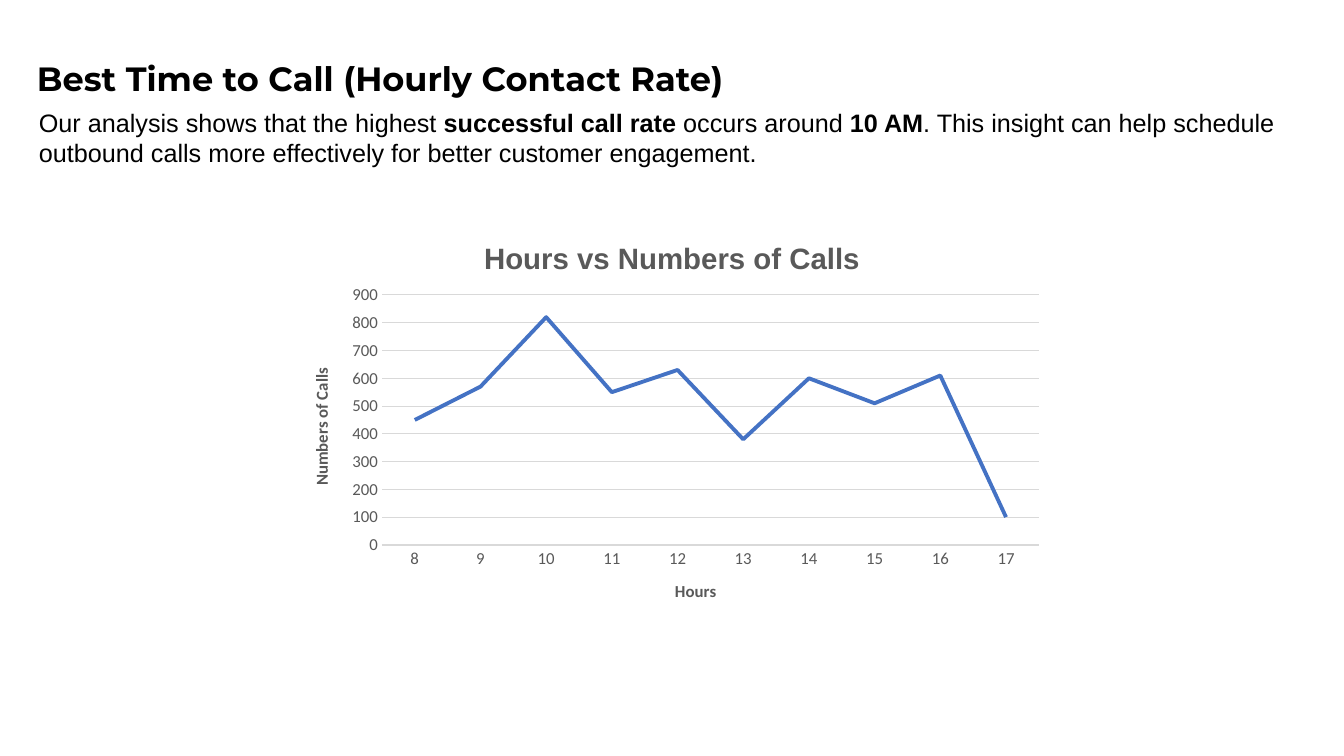
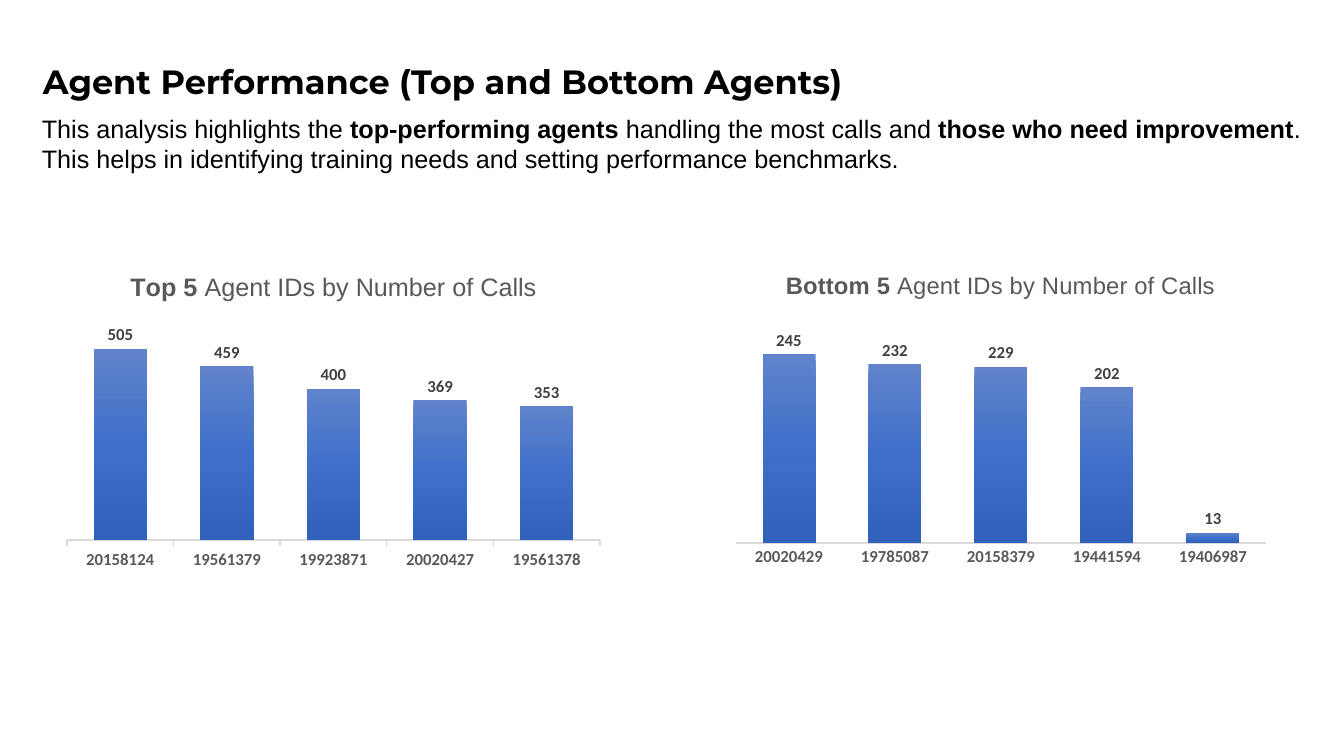
import pptx
import pptx.util
import pptx.chart.data
import pptx.dml.color
import pptx.enum.chart
import pptx.enum.text
import pptx.oxml
import pptx.oxml.ns

PX = 914400 / 100.8
COLORS = {"ink": "000000", "muted": "595959", "label": "404040", "grid": "D9D9D9", "line": "4472C4",
          "bar_top": "6183CB", "bar_mid": "3E70CA", "bar_end": "3062BB"}
TITLE = {"size": pptx.util.Pt(24), "name": "Montserrat", "bold": True}
BODY = {"size": pptx.util.Pt(18), "name": "Arial"}
AXIS = {"size": pptx.util.Pt(12), "name": "Calibri"}
XL = pptx.enum.chart
C_NS = pptx.oxml.ns.nsdecls("c")
A_NS = pptx.oxml.ns.nsdecls("a")


def set_font(font, color, formats):
    for attribute, value in formats.items():
        setattr(font, attribute, value)
    font.color.rgb = pptx.dml.color.RGBColor.from_string(COLORS[color])


def write_runs(paragraph, runs, color, formats):
    """Write (text, bold) pairs in one shared style."""
    for text, bold in runs:
        run = paragraph.add_run()
        run.text = text
        set_font(run.font, color, {**formats, "bold": bold})


deck = pptx.Presentation()
deck.slide_width, deck.slide_height = round(1344 * PX), round(756 * PX)

# Content: boxes are left, top, width, height; the plot is the area inside the axes
pages = [
    {
        "texts": [
            ((27, 53, 800, 50), TITLE, [("Best Time to Call (Hourly Contact Rate)", True)]),
            ((29, 102, 1257, 72), BODY, [
                ("Our analysis shows that the highest ", False), ("successful call rate", True),
                (" occurs around ", False), ("10 AM", True),
                (". This insight can help schedule outbound calls more effectively "
                 "for better customer engagement.", False)]),
        ],
        "charts": [
            {"kind": XL.XL_CHART_TYPE.LINE, "box": (289, 221, 766, 402), "plot": (382, 295, 657, 250),
             "heading": [("Hours vs Numbers of Calls", True)], "heading_size": 21,
             "categories": [str(hour) for hour in range(8, 18)],
             "values": [450, 570, 820, 550, 630, 380, 600, 510, 610, 100],
             "maximum": 900, "step": 100, "tick": XL.XL_TICK_MARK.NONE},
        ],
    },
    {
        "texts": [
            ((33, 56, 912, 50), TITLE, [("Agent Performance (Top and Bottom Agents)", True)]),
            ((32, 108, 1280, 72), BODY, [
                ("This analysis highlights the ", False), ("top-performing agents", True),
                (" handling the most calls and ", False), ("those who need improvement", True),
                (". This helps in identifying training needs and setting performance benchmarks.", False)]),
        ],
        "charts": [
            {"kind": XL.XL_CHART_TYPE.COLUMN_CLUSTERED, "box": (56, 257, 555, 320), "plot": (67, 313, 533, 227),
             "heading": [("Top 5 ", True), ("Agent IDs by Number of Calls", False)], "heading_size": 18,
             "categories": ["20158124", "19561379", "19923871", "20020427", "19561378"],
             "values": [505, 459, 400, 369, 353],
             "maximum": 600, "step": 100, "tick": XL.XL_TICK_MARK.OUTSIDE},
            {"kind": XL.XL_CHART_TYPE.COLUMN_CLUSTERED, "box": (725, 256, 551, 318), "plot": (736, 312, 530, 231),
             "heading": [("Bottom 5 ", True), ("Agent IDs by Number of Calls", False)], "heading_size": 17,
             "categories": ["20020429", "19785087", "20158379", "19441594", "19406987"],
             "values": [245, 232, 229, 202, 13],
             "maximum": 300, "step": 50, "tick": XL.XL_TICK_MARK.NONE},
        ],
    },
]

for page in pages:
    slide = deck.slides.add_slide(deck.slide_layouts[6])

    # Charts
    for spec_sheet in page["charts"]:
        data = pptx.chart.data.CategoryChartData()
        data.categories = spec_sheet["categories"]
        data.add_series("Series 1", spec_sheet["values"])
        box = spec_sheet["box"]
        chart = slide.shapes.add_chart(spec_sheet["kind"], *[round(v * PX) for v in box], data).chart
        chart.has_legend = False
        set_font(chart.font, "muted", AXIS)

        # Heading
        chart.has_title = True
        heading_font = {"size": pptx.util.Pt(spec_sheet["heading_size"]), "name": "Arial"}
        write_runs(chart.chart_title.text_frame.paragraphs[0], spec_sheet["heading"], "muted", heading_font)
        chart.chart_title.include_in_layout = False

        # Plot area as fractions of the chart box
        left, top, width, height = spec_sheet["plot"]
        fractions = {"x": (left - box[0]) / box[2], "y": (top - box[1]) / box[3],
                     "w": width / box[2], "h": height / box[3]}
        layout = (f'<c:layout {C_NS}><c:manualLayout><c:layoutTarget val="inner"/>'
                  '<c:xMode val="edge"/><c:yMode val="edge"/>'
                  + "".join(f'<c:{key} val="{value:.4f}"/>' for key, value in fractions.items())
                  + "</c:manualLayout></c:layout>")
        plot_area = chart._chartSpace.chart.plotArea
        for old_layout in plot_area.xpath("c:layout"):
            plot_area.remove(old_layout)
        plot_area.insert(0, pptx.oxml.parse_xml(layout))

        # Axes
        hours, calls = chart.category_axis, chart.value_axis
        hours.major_tick_mark = spec_sheet["tick"]
        hours.format.line.color.rgb = pptx.dml.color.RGBColor.from_string(COLORS["grid"])
        hours.format.line.width = pptx.util.Pt(1)
        for attribute, value in {"minimum_scale": 0, "maximum_scale": spec_sheet["maximum"],
                                 "major_unit": spec_sheet["step"],
                                 "major_tick_mark": XL.XL_TICK_MARK.NONE}.items():
            setattr(calls, attribute, value)

        plot = chart.plots[0]
        plot.vary_by_categories = False
        series = plot.series[0]
        if spec_sheet["kind"] == XL.XL_CHART_TYPE.LINE:
            series.smooth = False
            series.marker.style = XL.XL_MARKER_STYLE.NONE
            calls.format.line.fill.background()
            for line, color, weight in [(series.format.line, "line", 2.75),
                                        (calls.major_gridlines.format.line, "grid", 0.75)]:
                line.color.rgb = pptx.dml.color.RGBColor.from_string(COLORS[color])
                line.width = pptx.util.Pt(weight)
            for axis, caption in [(hours, "Hours"), (calls, "Numbers of Calls")]:
                set_font(axis.tick_labels.font, "muted", AXIS)
                frame = axis.axis_title.text_frame
                write_runs(frame.paragraphs[0], [(caption, True)], "muted", AXIS)
            frame._txBody.bodyPr.set("rot", "-5400000")
            frame._txBody.bodyPr.set("vert", "horz")
        else:
            calls.visible = False
            calls.has_major_gridlines = False
            plot.gap_width, plot.overlap = 100, -24
            set_font(hours.tick_labels.font, "muted", {**AXIS, "bold": True})
            # Vertical gradient of the bars
            stops = "".join(f'<a:gs pos="{position}"><a:srgbClr val="{COLORS[color]}"/></a:gs>'
                            for position, color in [(0, "bar_top"), (50000, "bar_mid"), (100000, "bar_end")])
            series._element.get_or_add_spPr().append(pptx.oxml.parse_xml(
                f'<a:gradFill {A_NS}><a:gsLst>{stops}</a:gsLst><a:lin ang="5400000" scaled="0"/></a:gradFill>'))
            plot.has_data_labels = True
            labels = plot.data_labels
            labels.show_value = True
            labels.position = XL.XL_LABEL_POSITION.OUTSIDE_END
            set_font(labels.font, "label", {**AXIS, "bold": True})

    # Title and summary
    for box, formats, runs in page["texts"]:
        frame = slide.shapes.add_textbox(*[round(v * PX) for v in box]).text_frame
        frame.word_wrap = True
        frame.auto_size = pptx.enum.text.MSO_AUTO_SIZE.SHAPE_TO_FIT_TEXT
        write_runs(frame.paragraphs[0], runs, "ink", formats)

deck.save("out.pptx")
